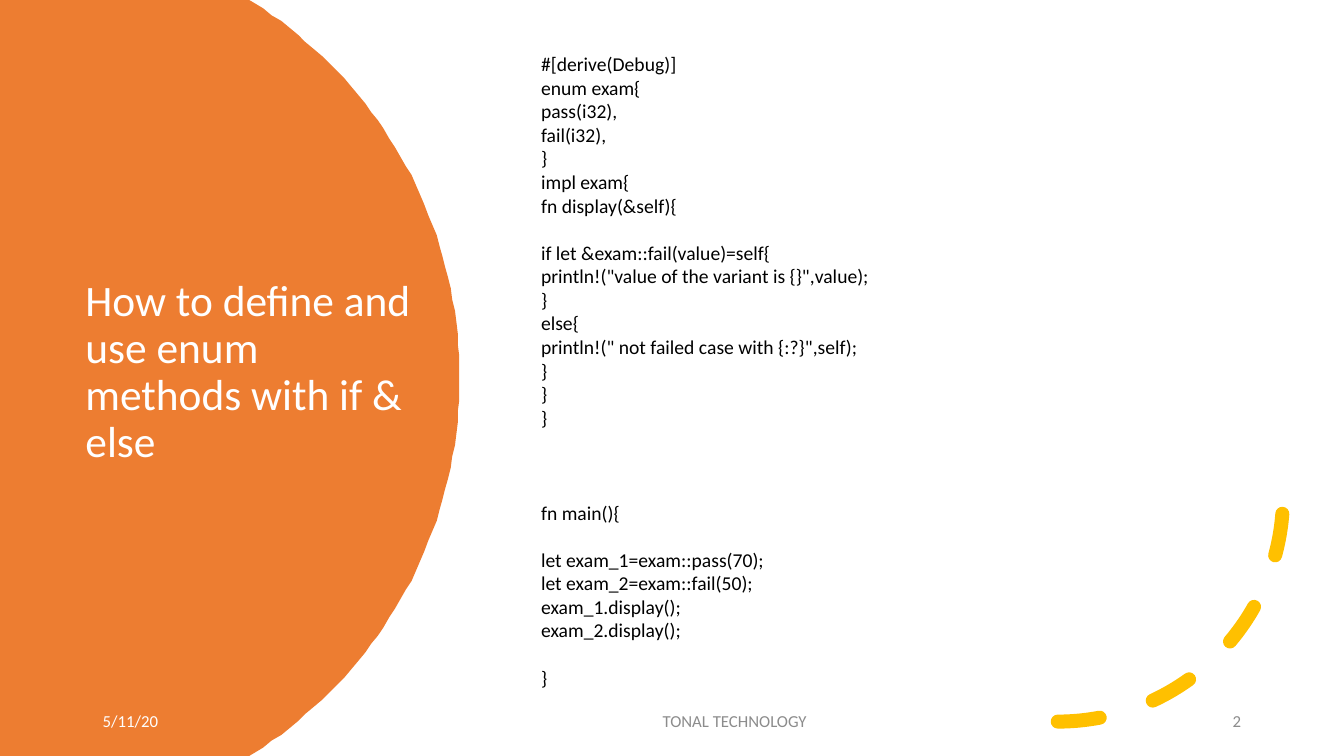
import pptx
import pptx.dml.color
import pptx.enum.dml
import pptx.enum.shapes
import pptx.enum.text
import pptx.util
from lxml import etree

Pt = pptx.util.Pt
RGBColor = pptx.dml.color.RGBColor
Align = pptx.enum.text.PP_ALIGN
Anchor = pptx.enum.text.MSO_ANCHOR

ORANGE = RGBColor(0xED, 0x7D, 0x31)
GOLD = RGBColor(0xFF, 0xC0, 0x00)
WHITE = RGBColor(0xFF, 0xFF, 0xFF)
GRAY = RGBColor(0x8C, 0x8C, 0x8C)
BLACK = RGBColor(0x00, 0x00, 0x00)

SLIDE_WIDTH, SLIDE_HEIGHT = 960, 540
CODE_LINE = 17

CODE = """#[derive(Debug)]
enum exam{
pass(i32),
fail(i32),
}
impl exam{
fn display(&self){

if let &exam::fail(value)=self{
println!("value of the variant is {}",value);
}
else{
println!(" not failed case with {:?}",self);
}
}
}



fn main(){

let exam_1=exam::pass(70);
let exam_2=exam::fail(50);
exam_1.display();
exam_2.display();

}"""


def bezier(start, control_1, control_2, end, steps=40):
    points = []
    for step in range(steps + 1):
        t = step / steps
        weights = ((1 - t) ** 3, 3 * t * (1 - t) ** 2, 3 * t * t * (1 - t), t ** 3)
        corners = (start, control_1, control_2, end)
        points.append(tuple(sum(w * c[axis] for w, c in zip(weights, corners))
                            for axis in (0, 1)))
    return points


class SlideBuilder:
    font = "Calibri"

    def __init__(self, slide):
        self.slide = slide

    def text(self, box, content, size, color, align=Align.LEFT,
             anchor=Anchor.MIDDLE, line_spacing=None, space_after=0, wrap=True):
        label = self.slide.shapes.add_textbox(*map(Pt, box))
        frame = label.text_frame
        frame.text = content
        frame.word_wrap = wrap
        frame.vertical_anchor = anchor
        for paragraph in frame.paragraphs:
            paragraph.alignment = align
            paragraph.space_after = Pt(space_after)
            if line_spacing:
                paragraph.line_spacing = line_spacing
            for run in paragraph.runs:
                run.font.name = self.font
                run.font.size = Pt(size)
                run.font.color.rgb = color
        return frame

    def code(self, box, listing, size, color):
        lines = listing.split("\n")
        gaps, gap = [], 0
        for line in lines:
            if line:
                gaps.append(gap)
                gap = 0
            else:
                gap += 1
        frame = self.text(box, "\n".join(filter(None, lines)), size, color,
                          anchor=Anchor.TOP, wrap=False)
        frame.auto_size = pptx.enum.text.MSO_AUTO_SIZE.SHAPE_TO_FIT_TEXT
        for paragraph, gap in zip(frame.paragraphs, gaps):
            if gap:
                paragraph.space_before = Pt(gap * CODE_LINE)

    def outline(self, points, color):
        builder = self.slide.shapes.build_freeform(*points[0], scale=Pt(1))
        builder.add_line_segments(points[1:], close=True)
        panel = builder.convert_to_shape()
        panel.shadow.inherit = False
        panel.fill.solid()
        panel.fill.fore_color.rgb = color
        panel.line.fill.background()

    def dashed_arc(self, box, color, width):
        arc = self.slide.shapes.add_shape(
            pptx.enum.shapes.MSO_SHAPE.ARC, *map(Pt, box))
        arc.shadow.inherit = False
        arc.fill.background()
        arc.line.color.rgb = color
        arc.line.width = Pt(width)
        arc.line.dash_style = pptx.enum.dml.MSO_LINE.DASH
        properties = arc._element.spPr
        properties.xfrm.set("flipV", "1")
        stroke = properties.find(pptx.oxml.ns.qn("a:ln"))
        stroke.set("cap", "rnd")
        etree.SubElement(stroke, pptx.oxml.ns.qn("a:round"))


def main():
    presentation = pptx.Presentation()
    presentation.slide_width = Pt(SLIDE_WIDTH)
    presentation.slide_height = Pt(SLIDE_HEIGHT)
    builder = SlideBuilder(presentation.slides.add_slide(presentation.slide_layouts[6]))

    upper_edge = [(178, 0)] + bezier(
        (188, 6.5), (273, 63.4), (328.3, 160.5), (328.3, 270))
    lower_edge = [(x, SLIDE_HEIGHT - y) for x, y in reversed(upper_edge[:-1])]
    builder.outline([(0, 0)] + upper_edge + lower_edge + [(0, SLIDE_HEIGHT)], ORANGE)

    builder.text((54, 90.7, 252, 351.4),
                 "How to define and use enum methods with if & else",
                 31, WHITE, line_spacing=0.9)
    builder.dashed_arc((594.7, 193.7, 321.8, 321.8), GOLD, 10)

    footers = (
        (66.2, 129, "5/11/20", WHITE, Align.LEFT),
        (318.2, 413.3, "TONAL TECHNOLOGY", GRAY, Align.CENTER),
        (751, 142.6, "2", GRAY, Align.RIGHT),
    )
    for left, width, content, color, align in footers:
        builder.text((left, 500.5, width, 28.8), content, 12, color, align,
                     space_after=6)

    builder.code((379.4, 33.8, 251.3, 487.4), CODE, 14, BLACK)
    presentation.save("out.pptx")


if __name__ == "__main__":
    main()
